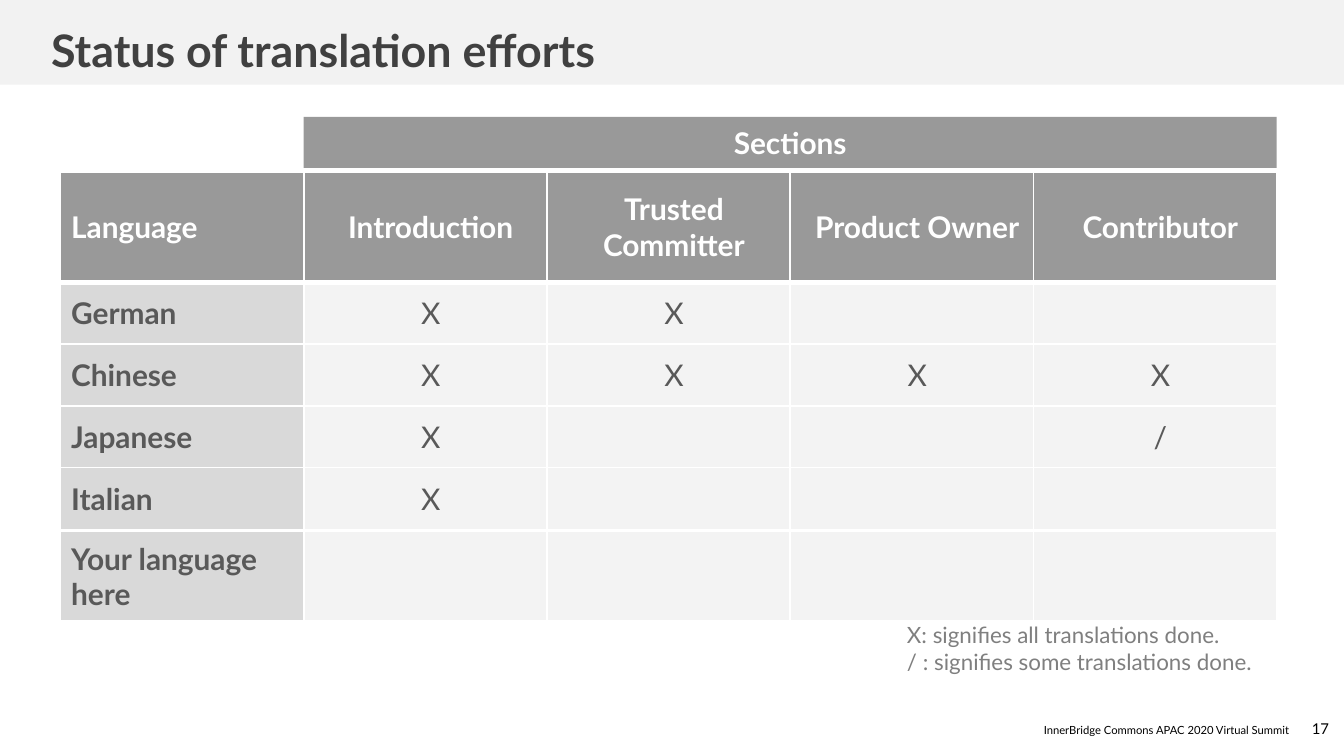
import pptx
import pptx.util
import pptx.dml.color
import pptx.enum.shapes
import pptx.enum.text
import pptx.oxml
import pptx.oxml.ns
from dataclasses import dataclass
from typing import Any

Inches = pptx.util.Inches
Align = pptx.enum.text.PP_ALIGN
Anchor = pptx.enum.text.MSO_ANCHOR


@dataclass(frozen=True)
class Theme:
    font: str = "Lato"
    white: str = "FFFFFF"
    black: str = "000000"
    band: str = "F2F2F2"
    heading: str = "404040"
    header: str = "999999"
    language: str = "D9D9D9"
    status: str = "F3F3F3"
    body: str = "595959"
    legend: str = "7F7F7F"
    title_size: float = 24
    table_size: float = 16
    legend_size: float = 12
    number_size: float = 8
    footer_size: float = 6


@dataclass(frozen=True)
class TextStyle:
    size: float
    color: str
    bold: bool = False
    align: Any = Align.LEFT


@dataclass(frozen=True)
class Block:
    box: tuple[float, float, float, float]
    lines: tuple[str, ...]
    style: TextStyle
    anchor: Any
    insets: tuple[float, float, float, float]
    fill: str | None = None


@dataclass(frozen=True)
class Grid:
    left: float = 0.45
    column: float = 1.81
    columns: int = 5

    def x(self, index: int) -> float:
        return self.left + index * self.column

    def span(self, count: int) -> float:
        return count * self.column


THEME = Theme()
GRID = Grid()
WIDTH = 10
HEIGHT = WIDTH * 9 / 16
CELL_INSETS = (0.08, 0.04, 0, 0.04)
FLUSH = (0, 0, 0, 0)
PADDED = (0.1, 0.1, 0.1, 0.1)
HEADER = TextStyle(THEME.table_size, THEME.white, True, Align.CENTER)
HEADER_LANGUAGE = TextStyle(THEME.table_size, THEME.white, True)
LANGUAGE = TextStyle(THEME.table_size, THEME.body, True)
STATUS = TextStyle(THEME.table_size, THEME.body, False, Align.CENTER)


def rgb(value: str) -> pptx.dml.color.RGBColor:
    return pptx.dml.color.RGBColor.from_string(value)


def apply(target: Any, values: dict[str, Any]) -> None:
    for name, value in values.items():
        setattr(target, name, value)


def margins(insets: tuple[float, float, float, float]) -> dict[str, Any]:
    sides = ("left", "top", "right", "bottom")
    return {f"margin_{side}": Inches(inset) for side, inset in zip(sides, insets)}


def paint(target: Any, color: str) -> None:
    target.fill.solid()
    target.fill.fore_color.rgb = rgb(color)


def write(frame: Any, lines: tuple[str, ...], style: TextStyle) -> None:
    for index, line in enumerate(lines):
        paragraph = frame.add_paragraph() if index else frame.paragraphs[0]
        paragraph.alignment = style.align
        run = paragraph.add_run()
        run.text = line
        apply(run.font, {"name": THEME.font, "size": pptx.util.Pt(style.size), "bold": style.bold})
        run.font.color.rgb = rgb(style.color)


def draw_block(slide: Any, block: Block) -> None:
    box = [Inches(length) for length in block.box]
    if block.fill:
        shape = slide.shapes.add_shape(pptx.enum.shapes.MSO_SHAPE.RECTANGLE, *box)
        shape.shadow.inherit = False
        shape.line.fill.background()
        paint(shape, block.fill)
    else:
        shape = slide.shapes.add_textbox(*box)
    apply(shape.text_frame, {"word_wrap": True, "vertical_anchor": block.anchor, **margins(block.insets)})
    write(shape.text_frame, block.lines, block.style)


def add_borders(cell: Any, bottom: float) -> None:
    properties = cell._tc.get_or_add_tcPr()
    for side, points in {"L": 1, "R": 1, "T": 1, "B": bottom}.items():
        properties.append(pptx.oxml.parse_xml(
            f'<a:ln{side} {pptx.oxml.ns.nsdecls("a")} w="{pptx.util.Pt(points)}">'
            f'<a:solidFill><a:srgbClr val="{THEME.white}"/></a:solidFill></a:ln{side}>'))


def cell_look(is_header: bool, column: int) -> tuple[str, TextStyle]:
    if is_header:
        return THEME.header, HEADER if column else HEADER_LANGUAGE
    return (THEME.status, STATUS) if column else (THEME.language, LANGUAGE)


def draw_table(slide: Any, top: float, heights: list[float], rows: list[tuple[str, ...]],
               has_header: bool) -> None:
    table = slide.shapes.add_table(
        len(rows), GRID.columns, Inches(GRID.left), Inches(top),
        Inches(GRID.span(GRID.columns)), Inches(sum(heights))).table
    apply(table, {"first_row": has_header, "horz_banding": False})
    for column in table.columns:
        column.width = Inches(GRID.column)
    for row, (height, entries) in enumerate(zip(heights, rows)):
        table.rows[row].height = Inches(height)
        for column, entry in enumerate(entries):
            cell = table.cell(row, column)
            fill, style = cell_look(has_header and row == 0, column)
            add_borders(cell, 1 if row else 3)
            paint(cell, fill)
            apply(cell, {"vertical_anchor": Anchor.MIDDLE, **margins(CELL_INSETS)})
            if entry:
                write(cell.text_frame, (entry,), style)


def main() -> None:
    deck = pptx.Presentation()
    apply(deck, {"slide_width": Inches(WIDTH), "slide_height": Inches(HEIGHT)})
    slide = deck.slides.add_slide(deck.slide_layouts[6])

    title_style = TextStyle(THEME.title_size, THEME.heading, True)
    number_style = TextStyle(THEME.number_size, THEME.black, align=Align.RIGHT)
    footer_style = TextStyle(THEME.footer_size, THEME.black, align=Align.RIGHT)
    legend_style = TextStyle(THEME.legend_size, THEME.legend)
    blocks = [
        Block((0, 0, WIDTH, 0.63), (), title_style, Anchor.MIDDLE, FLUSH, THEME.band),
        Block((9.55, 5.27, 0.34, 0.3), ("17",), number_style, Anchor.MIDDLE, FLUSH),
        Block((6.12, 5.38, 3.47, 0.1), ("InnerBridge Commons APAC 2020 Virtual Summit",),
              footer_style, Anchor.MIDDLE, FLUSH),
        Block((0, 0, 9.39, 0.61), ("Status of translation efforts",),
              title_style, Anchor.BOTTOM, (0.38, 0.04, 0, 0.04)),
        Block((GRID.x(1), 0.87, GRID.span(4), 0.38), ("Sections",),
              HEADER, Anchor.MIDDLE, PADDED, THEME.header),
        Block((6.65, 4.52, 3.19, 0.66),
              ("X: signifies all translations done.", "/ : signifies some translations done."),
              legend_style, Anchor.TOP, PADDED),
    ]
    for block in blocks:
        draw_block(slide, block)

    progress = [
        ("Language", "Introduction", "Trusted Committer", "Product Owner", "Contributor"),
        ("German", "X", "X", "", ""),
        ("Chinese", "X", "X", "X", "X"),
        ("Japanese", "X", "", "", "/"),
        ("Italian", "X", "", "", ""),
    ]
    draw_table(slide, 1.28, [0.82] + [0.46] * 4, progress, True)
    draw_table(slide, 3.95, [0.68], [("Your language here", "", "", "", "")], False)
    deck.save("out.pptx")


main()
